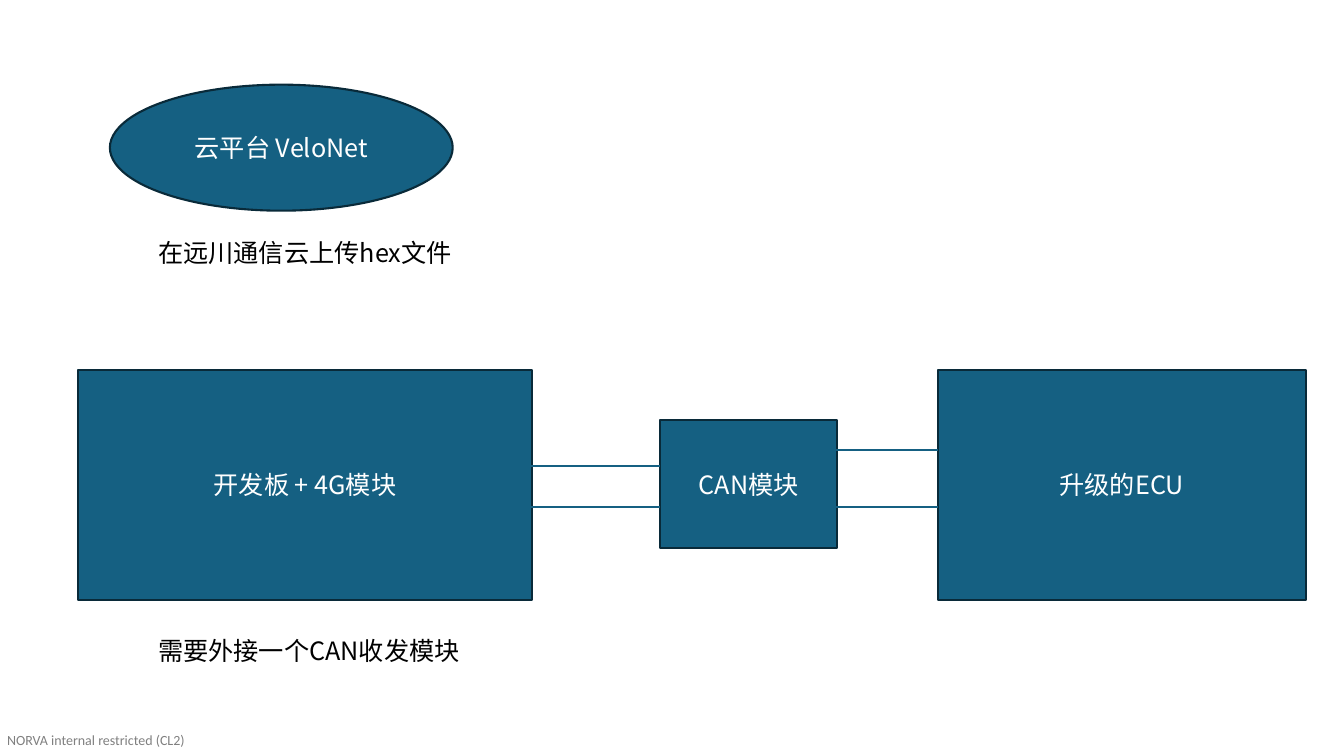
import pptx
import pptx.dml.color
import pptx.enum.shapes
import pptx.enum.text
import pptx.oxml.ns
import pptx.util
from lxml import etree

PX = 9144
CJK = "Noto Sans CJK SC"
BLUE, NAVY, WHITE, BLACK, GREY = "156082", "092A39", "FFFFFF", "000000", "808080"
OVAL = pptx.enum.shapes.MSO_SHAPE.OVAL
RECTANGLE = pptx.enum.shapes.MSO_SHAPE.RECTANGLE


def px(*lengths):
    return [pptx.util.Emu(length * PX) for length in lengths]


def color(hex_code):
    return pptx.dml.color.RGBColor.from_string(hex_code)


def write(frame, text, size=18, font=CJK, ink=BLACK, centered=False, margins=(10, 5)):
    frame.word_wrap = True
    frame.margin_left = frame.margin_right = px(margins[0])[0]
    frame.margin_top = frame.margin_bottom = px(margins[1])[0]
    paragraph = frame.paragraphs[0]
    if centered:
        frame.vertical_anchor = pptx.enum.text.MSO_ANCHOR.MIDDLE
        paragraph.alignment = pptx.enum.text.PP_ALIGN.CENTER
    run = paragraph.add_run()
    run.text = text
    run.font.size = pptx.util.Pt(size)
    run.font.name = font
    run.font.color.rgb = color(ink)
    east_asian = etree.SubElement(run.font._element, pptx.oxml.ns.qn("a:ea"))
    east_asian.set("typeface", font)


def add_label(slide, box, text, **text_format):
    label = slide.shapes.add_textbox(*px(*box))
    write(label.text_frame, text, **text_format)


def add_node(slide, outline, box, text):
    node = slide.shapes.add_shape(outline, *px(*box))
    node.shadow.inherit = False
    node.fill.solid()
    node.fill.fore_color.rgb = color(BLUE)
    node.line.color.rgb = color(NAVY)
    node.line.width = pptx.util.Pt(1.5)
    write(node.text_frame, text, ink=WHITE, centered=True)


def add_wire(slide, start, end, y):
    straight = pptx.enum.shapes.MSO_CONNECTOR.STRAIGHT
    wire = slide.shapes.add_connector(straight, *px(start, y, end, y))
    wire.line.color.rgb = color(BLUE)
    wire.line.width = pptx.util.Pt(1.5)
    etree.SubElement(wire._element.spPr, pptx.oxml.ns.qn("a:effectLst"))


def main():
    deck = pptx.Presentation()
    deck.slide_width, deck.slide_height = px(1333, 750)
    slide = deck.slides.add_slide(deck.slide_layouts[6])

    add_label(slide, (7, 726, 181, 17), "NORVA internal restricted (CL2)",
              size=10, font="Calibri", ink=GREY, margins=(0, 0))
    add_node(slide, OVAL, (109, 84, 340, 125), "云平台 VeloNet")
    add_node(slide, RECTANGLE, (77, 367, 451, 228), "开发板 + 4G模块")
    add_label(slide, (147, 625, 326, 40), "需要外接一个CAN收发模块")
    add_label(slide, (147, 231, 340, 40), "在远川通信云上传hex文件")
    add_node(slide, RECTANGLE, (655, 417, 175, 127), "CAN模块")
    add_node(slide, RECTANGLE, (930, 367, 365, 228), "升级的ECU")

    for start, end, heights in ((829, 930, (446, 503)), (527, 655, (462, 503))):
        for y in heights:
            add_wire(slide, start, end, y)

    deck.save("out.pptx")


if __name__ == "__main__":
    main()
